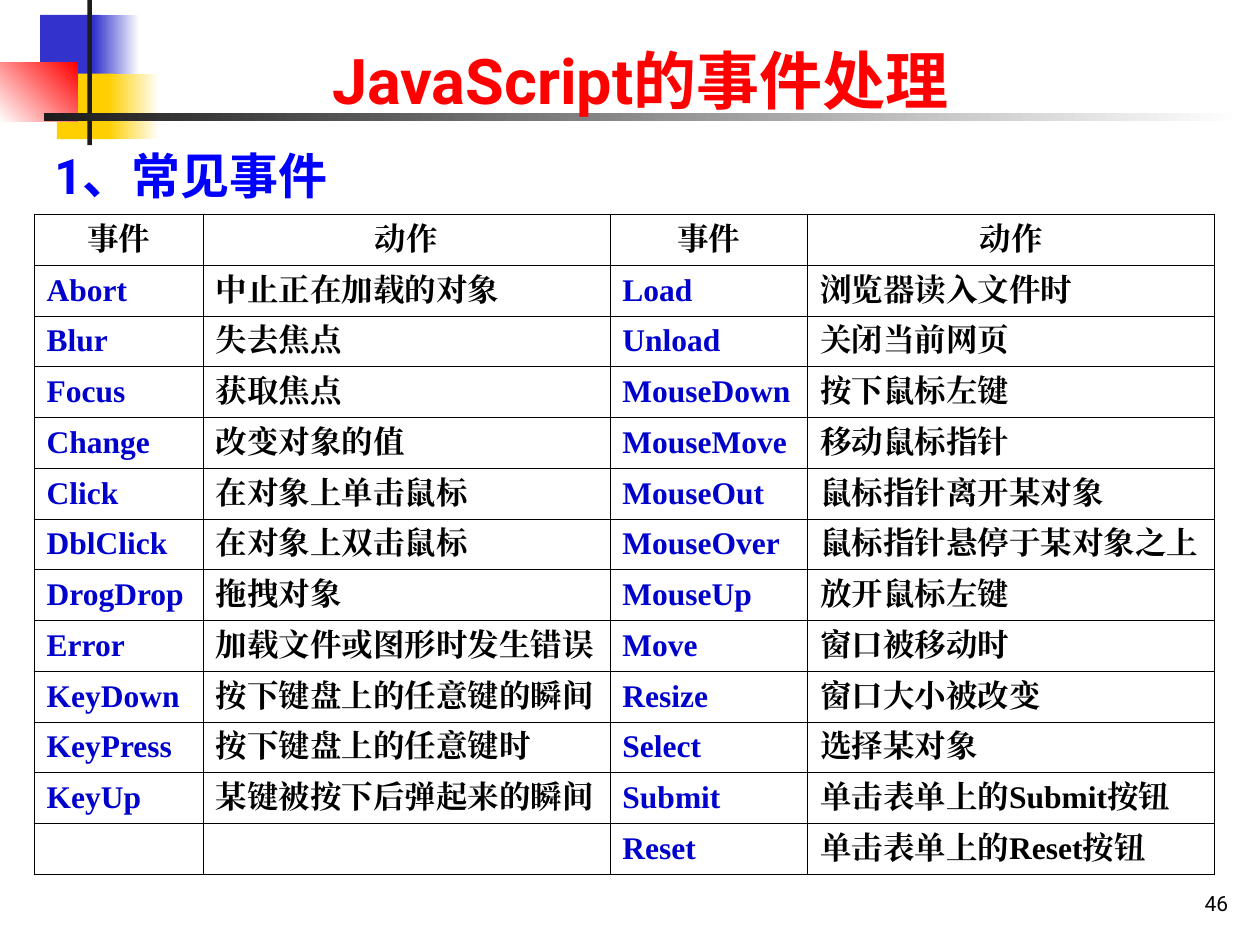
from pptx import Presentation
from pptx.dml.color import RGBColor
from pptx.enum.shapes import MSO_SHAPE
from pptx.enum.text import MSO_ANCHOR, PP_ALIGN
from pptx.oxml import parse_xml
from pptx.util import Pt

LEFT, CENTER, RIGHT = PP_ALIGN.LEFT, PP_ALIGN.CENTER, PP_ALIGN.RIGHT
TOP, MIDDLE, BOTTOM = MSO_ANCHOR.TOP, MSO_ANCHOR.MIDDLE, MSO_ANCHOR.BOTTOM
RECTANGLE = MSO_SHAPE.RECTANGLE
DRAWING = "http://schemas.openxmlformats.org/drawingml/2006/main"


def color(value):
    return RGBColor.from_string(value)


def write(para, text, font, size, shade, bold, align):
    """Add one run, using the same typeface for Latin and Chinese."""
    para.alignment = align
    span = para.add_run()
    span.text = text
    span.font.name = font
    span.font.size = Pt(size)
    span.font.bold = bold
    span.font.color.rgb = color(shade)
    span.font._element.append(
        parse_xml(f'<a:ea xmlns:a="{DRAWING}" typeface="{font}"/>'))


deck = Presentation()
deck.slide_width, deck.slide_height = Pt(720), Pt(540)
page = deck.slides.add_slide(deck.slide_layouts[6])

# Corner decoration: left, top, width, height, colours, gradient angle
decoration = [
    (23, 8.5, 34.5, 37.5, ["3333CC"], 0),
    (53.5, 8.5, 26, 37.5, ["3333CC", "FFFFFF"], 0),
    (32.5, 42, 33, 37.5, ["FFCF01"], 0),
    (62, 42, 29, 37.5, ["FFCF01", "FFFFFF"], 0),
    (0, 36, 44.5, 33.5, ["FFFFFF", "FF0000"], 45),
    (50, 0, 2.5, 83, ["1C1C1C"], 0),
    (25, 64.75, 685, 4.5, ["1C1C1C", "FFFFFF"], 0),
]
for left, top, width, height, shades, angle in decoration:
    block = page.shapes.add_shape(
        RECTANGLE, Pt(left), Pt(top), Pt(width), Pt(height))
    block.shadow.inherit = False
    block.line.fill.background()
    if len(shades) == 1:
        block.fill.solid()
        block.fill.fore_color.rgb = color(shades[0])
    else:
        block.fill.gradient()
        block.fill.gradient_angle = angle
        for stop, shade in zip(block.fill.gradient_stops, shades):
            stop.color.rgb = color(shade)

# Page number, title and subtitle
texts = [
    ("46", 559, 491, 150, 36, 7.2, 3.6, BOTTOM, 12, "000000", False, RIGHT),
    ("JavaScript的事件处理", 88, 20, 556, 50.5, 7.2, 3.6, TOP,
     36, "FF0000", True, CENTER),
    ("1、常见事件", 31, 83, 663, 39.5, 0, 0, TOP, 28, "0000FF", True, LEFT),
]
for (text, left, top, width, height, side, edge, anchor,
     size, shade, bold, align) in texts:
    box = page.shapes.add_textbox(Pt(left), Pt(top), Pt(width), Pt(height))
    frame = box.text_frame
    frame.word_wrap = True
    frame.vertical_anchor = anchor
    frame.margin_left = frame.margin_right = Pt(side)
    frame.margin_top = frame.margin_bottom = Pt(edge)
    write(frame.paragraphs[0], text, "Roboto", size, shade, bold, align)

# Event table
events = [
    ("事件", "动作", "事件", "动作"),
    ("Abort", "中止正在加载的对象", "Load", "浏览器读入文件时"),
    ("Blur", "失去焦点", "Unload", "关闭当前网页"),
    ("Focus", "获取焦点", "MouseDown", "按下鼠标左键"),
    ("Change", "改变对象的值", "MouseMove", "移动鼠标指针"),
    ("Click", "在对象上单击鼠标", "MouseOut", "鼠标指针离开某对象"),
    ("DblClick", "在对象上双击鼠标", "MouseOver", "鼠标指针悬停于某对象之上"),
    ("DrogDrop", "拖拽对象", "MouseUp", "放开鼠标左键"),
    ("Error", "加载文件或图形时发生错误", "Move", "窗口被移动时"),
    ("KeyDown", "按下键盘上的任意键的瞬间", "Resize", "窗口大小被改变"),
    ("KeyPress", "按下键盘上的任意键时", "Select", "选择某对象"),
    ("KeyUp", "某键被按下后弹起来的瞬间", "Submit", "单击表单上的Submit按钮"),
    ("", "", "Reset", "单击表单上的Reset按钮"),
]
column_widths = [96.5, 232.5, 113, 232.5]
row_height = 29
table = page.shapes.add_table(
    len(events), len(column_widths), Pt(19.5), Pt(122.5),
    Pt(sum(column_widths)), Pt(row_height * len(events))).table
table.first_row = table.horz_banding = False
for column, width in zip(table.columns, column_widths):
    column.width = Pt(width)
for row, values in enumerate(events):
    table.rows[row].height = Pt(row_height)
    for column, text in enumerate(values):
        cell = table.cell(row, column)
        cell.vertical_anchor = MIDDLE
        cell.margin_left = cell.margin_right = Pt(7.2)
        cell.margin_top = cell.margin_bottom = Pt(3.6)
        for side in ("lnL", "lnR", "lnT", "lnB"):
            cell._tc.get_or_add_tcPr().append(parse_xml(
                f'<a:{side} xmlns:a="{DRAWING}" w="{Pt(0.45)}"><a:solidFill>'
                f'<a:srgbClr val="000000"/></a:solidFill></a:{side}>'))
        cell.fill.background()
        if text:
            is_event = row > 0 and column % 2 == 0
            write(cell.text_frame.paragraphs[0], text, "Times New Roman", 18,
                  "0000CC" if is_event else "000000", True,
                  LEFT if row else CENTER)

deck.save("out.pptx")
